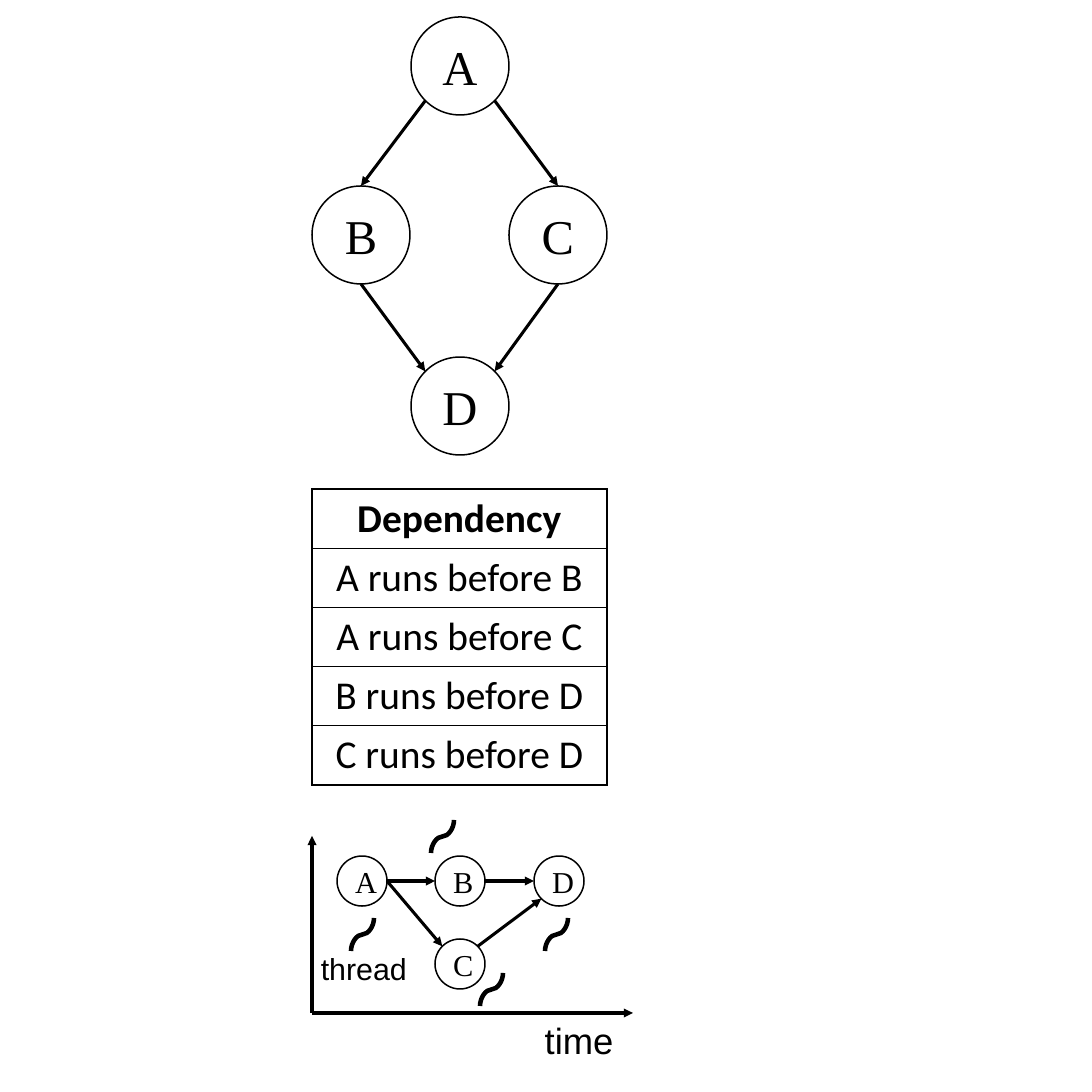
import math
import pptx
import pptx.util
import pptx.dml.color
import pptx.enum.shapes
import pptx.enum.text
import pptx.oxml
import pptx.oxml.ns
import lxml.etree

BLACK = pptx.dml.color.RGBColor(0, 0, 0)
WHITE = pptx.dml.color.RGBColor(255, 255, 255)
SCALE = 914400 / 109.2
qn = pptx.oxml.ns.qn
MIDDLE = pptx.enum.text.PP_ALIGN.CENTER
SIDES = {"right": 0, "low right": 45, "bottom": 90, "low left": 135,
         "left": 180, "top left": 225, "top": 270, "top right": 315}


def emu(*pixels):
    return [round(value * SCALE) for value in pixels]


def style(part, font, size, bold=False):
    for run in part.runs:
        run.font.name = font
        run.font.size = pptx.util.Pt(size)
        run.font.bold = bold
        run.font.color.rgb = BLACK


def link(slide, start, end, width=2, arrow=True, kind="STRAIGHT"):
    form = pptx.enum.shapes.MSO_CONNECTOR[kind]
    line = slide.shapes.add_connector(form, *emu(*start, *end))
    line.line.color.rgb = BLACK
    line.line.width = pptx.util.Pt(width)
    if arrow:
        tail = lxml.etree.SubElement(line.line._get_or_add_ln(), qn("a:tailEnd"))
        tail.set("type", "triangle")
    lxml.etree.SubElement(line._element.spPr, qn("a:effectLst"))
    return line


def port(spot, size, side):
    angle = math.radians(SIDES[side])
    half = size / 2
    return (spot[0] + half + half * math.cos(angle),
            spot[1] + half + half * math.sin(angle))


def graph(slide, left, top, size, points, nodes, links):
    spots = {name: (left + x, top + y) for name, (x, y) in nodes.items()}
    for name, spot in spots.items():
        node = slide.shapes.add_shape(
            pptx.enum.shapes.MSO_SHAPE.OVAL, *emu(*spot, size, size))
        node.shadow.inherit = False
        node.fill.solid()
        node.fill.fore_color.rgb = WHITE
        node.line.color.rgb = BLACK
        node.line.width = pptx.util.Pt(1)
        node.text_frame.text = name
        part = node.text_frame.paragraphs[0]
        part.alignment = MIDDLE
        style(part, "Times New Roman", points)
    for first, out, last, into in links:
        link(slide, port(spots[first], size, out), port(spots[last], size, into))


def border(cell):
    props = cell._tc.get_or_add_tcPr()
    for index, side in enumerate(("lnL", "lnR", "lnT", "lnB")):
        edge = pptx.oxml.parse_xml(
            f'<a:{side} {pptx.oxml.ns.nsdecls("a")} w="12700"><a:solidFill>'
            f'<a:srgbClr val="{BLACK}"/></a:solidFill></a:{side}>')
        props.insert(index, edge)


def rules(slide, left, top, width, height, rows):
    frame = slide.shapes.add_table(len(rows), 1, *emu(left, top, width, height))
    table = frame.table
    table.first_row = table.horz_banding = False
    for index, text in enumerate(rows):
        cell = table.cell(index, 0)
        cell.text_frame.text = text
        cell.fill.background()
        border(cell)
        part = cell.text_frame.paragraphs[0]
        part.alignment = MIDDLE
        style(part, "Calibri", 26, index == 0)


def label(slide, left, top, width, height, text, points):
    box = slide.shapes.add_textbox(*emu(left, top, width, height))
    box.text_frame.word_wrap = False
    box.text_frame.auto_size = pptx.enum.text.MSO_AUTO_SIZE.SHAPE_TO_FIT_TEXT
    box.text_frame.text = text
    style(box.text_frame.paragraphs[0], "Arial", points)


def thread(slide, left, top, width=23, height=33):
    x = left + (width - height) / 2
    y = top + (height - width) / 2
    curve = link(slide, (x, y), (x + height, y + width), 3, False, "CURVE")
    curve._element.spPr.find(qn("a:xfrm")).set("rot", "5400000")


def timing(slide, left, top, width, height):
    base = (left, top + height)
    link(slide, base, (left, top + 16))
    link(slide, base, (left + width, top + height))
    label(slide, left + 222, top + height, 92, 55, "time", 24)
    label(slide, left - 2, top + 125, 109, 48, "thread", 20)
    for x, y in ((39, 98), (233, 98), (168, 153), (119, 0)):
        thread(slide, left + x, top + y)
    graph(slide, left + 25, top + 36, 50, 20,
          {"A": (0, 0), "B": (98, 0), "C": (98, 83), "D": (197, 0)},
          [("A", "right", "B", "left"), ("B", "right", "D", "left"),
           ("A", "right", "C", "top left"),
           ("C", "top right", "D", "low left")])


deck = pptx.Presentation()
deck.slide_width = deck.slide_height = pptx.util.Inches(10)
slide = deck.slides.add_slide(deck.slide_layouts[6])
graph(slide, 312, 17, 98, 32,
      {"A": (99, 0), "B": (0, 169), "C": (197, 169), "D": (99, 340)},
      [("A", "low left", "B", "top"), ("A", "low right", "C", "top"),
       ("B", "bottom", "D", "top left"), ("C", "bottom", "D", "top right")])
rules(slide, 312, 489, 295, 295,
      ["Dependency"] + [f"{first} runs before {last}"
                        for first, last in ("AB", "AC", "BD", "CD")])
timing(slide, 312, 820, 321, 193)
deck.save("out.pptx")
